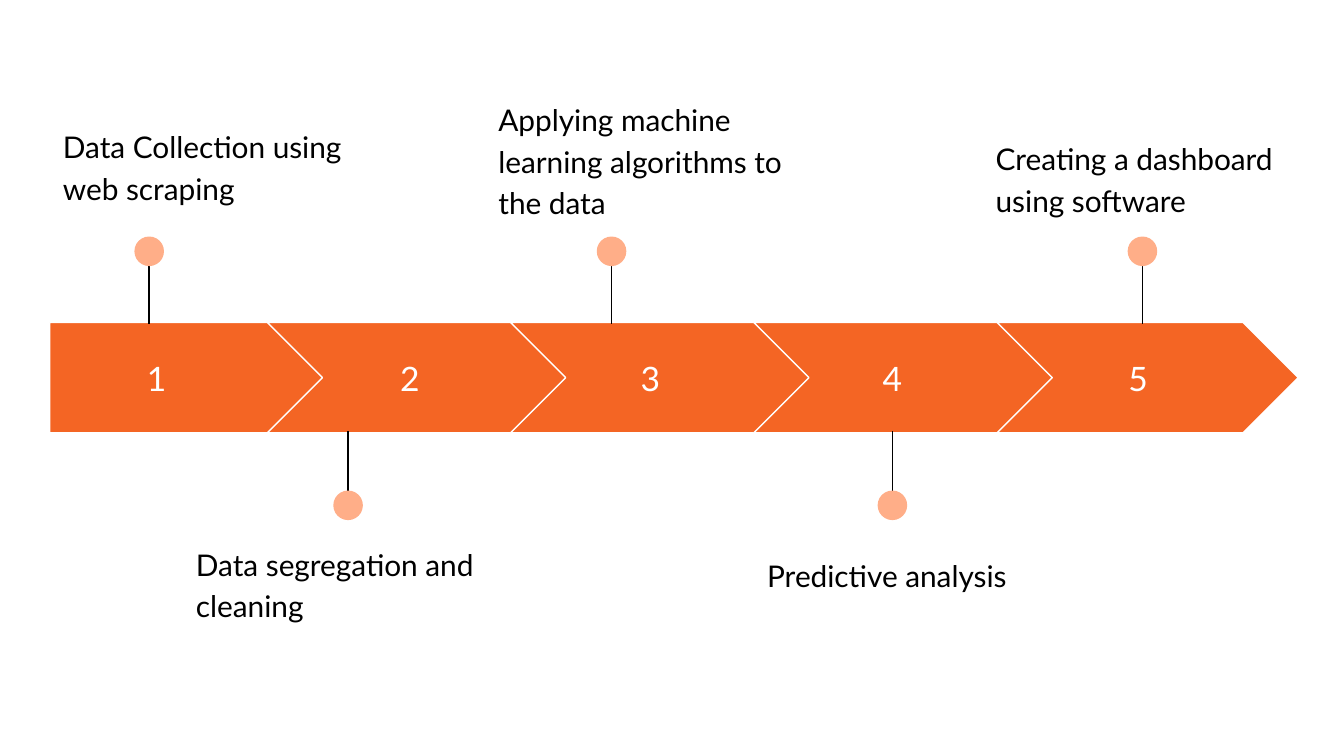
from lxml.etree import SubElement
from pptx import Presentation
from pptx.dml.color import RGBColor
from pptx.enum.shapes import MSO_CONNECTOR, MSO_SHAPE
from pptx.enum.text import MSO_ANCHOR, PP_ALIGN
from pptx.oxml.ns import qn
from pptx.util import Emu, Pt

PX = 9144
FONT = "Lato"
ORANGE = RGBColor(0xF4, 0x65, 0x24)
PEACH = RGBColor(0xFF, 0xAE, 0x88)
BLACK = RGBColor(0, 0, 0)
WHITE = RGBColor(0xFF, 0xFF, 0xFF)

SLIDE_WIDTH = 1000
BAND_TOP, BAND_HEIGHT = 240, 82
CHEVRON_LEFT, CHEVRON_WIDTH, CHEVRON_STEP = 199, 224, 181
DOT = 22

STEPS = [
    ("1", 37, 159, 111, "Data Collection using web scraping", 37, 82),
    ("2", 233, 144, 259, "Data segregation and cleaning", 136, 393),
    ("3", 412, 144, 455, "Applying machine learning algorithms to the data", 361, 62),
    ("4", 592, 144, 664, "Predictive analysis", 561, 401),
    ("5 ", 778, 144, 850, "Creating a dashboard using software", 731, 91),
]


class Timeline:
    """Holds the style and the current slide."""

    def __init__(self, prs):
        """Add a blank slide to draw on."""
        self.s = prs.slides.add_slide(prs.slide_layouts[6])

    def shape(self, shapes, kind, box, fill, line=None):
        """Add a filled preset shape, outlined if a line colour is given."""
        sp = shapes.add_shape(kind, *(Emu(v * PX) for v in box))
        sp.shadow.inherit = False
        sp.fill.solid()
        sp.fill.fore_color.rgb = fill
        if line is None:
            sp.line.fill.background()
        else:
            sp.line.color.rgb = line
            sp.line.width = Pt(0.75)
        return sp

    def arrow(self, kind, left, width):
        """Add one section of the arrow band."""
        box = (left, BAND_TOP, width, BAND_HEIGHT)
        sp = self.shape(self.s.shapes, kind, box, ORANGE, WHITE)
        sp.adjustments[0] = 0.5

    def text(self, text, box, size, color):
        """Add a wrapped text box and return its frame."""
        sp = self.s.shapes.add_textbox(*(Emu(v * PX) for v in box))
        tf = sp.text_frame
        tf.word_wrap = True
        tf.margin_left = tf.margin_right = Emu(10 * PX)
        tf.margin_top = tf.margin_bottom = Emu(10 * PX)
        tf.text = text
        font = tf.paragraphs[0].runs[0].font
        font.name = FONT
        font.size = Pt(size)
        font.color.rgb = color
        return tf

    def number(self, text, left, width):
        """Add a centred step number on the band."""
        tf = self.text(text, (left, 256, width, 51), 18, WHITE)
        tf.vertical_anchor = MSO_ANCHOR.MIDDLE
        tf.paragraphs[0].alignment = PP_ALIGN.CENTER

    def label(self, text, left, top):
        """Add a step description."""
        p = self.text(text, (left, top, 245, 99), 16, BLACK).paragraphs[0]
        p.line_spacing = 1.15
        p.space_after = Pt(16)

    def pin(self, x, above):
        """Add a grouped stem and dot above or below the band."""
        start, end, dot_top = (180, 241, 176) if above else (382, 321, 365)
        shapes = self.s.shapes.add_group_shape().shapes
        stem = shapes.add_connector(
            MSO_CONNECTOR.STRAIGHT, *(Emu(v * PX) for v in (x, start, x, end)))
        stem.line.color.rgb = BLACK
        stem.line.width = Pt(0.75)
        SubElement(stem._element.spPr, qn("a:effectLst"))
        box = (x - DOT // 2, dot_top, DOT, DOT)
        self.shape(shapes, MSO_SHAPE.OVAL, box, PEACH)


def main():
    """Build the five-step timeline and save it."""
    prs = Presentation()
    prs.slide_width = Emu(SLIDE_WIDTH * PX)
    prs.slide_height = Emu(SLIDE_WIDTH * PX * 9 // 16)
    timeline = Timeline(prs)
    for i, (number, left, width, pin_x, label, label_left, label_top) in enumerate(STEPS):
        if i == 0:
            timeline.arrow(MSO_SHAPE.PENTAGON, 37, 205)
        else:
            arrow_left = CHEVRON_LEFT + (i - 1) * CHEVRON_STEP
            timeline.arrow(MSO_SHAPE.CHEVRON, arrow_left, CHEVRON_WIDTH)
        timeline.number(number, left, width)
        timeline.pin(pin_x, above=i % 2 == 0)
        timeline.label(label, label_left, label_top)
    prs.save("out.pptx")


if __name__ == "__main__":
    main()
